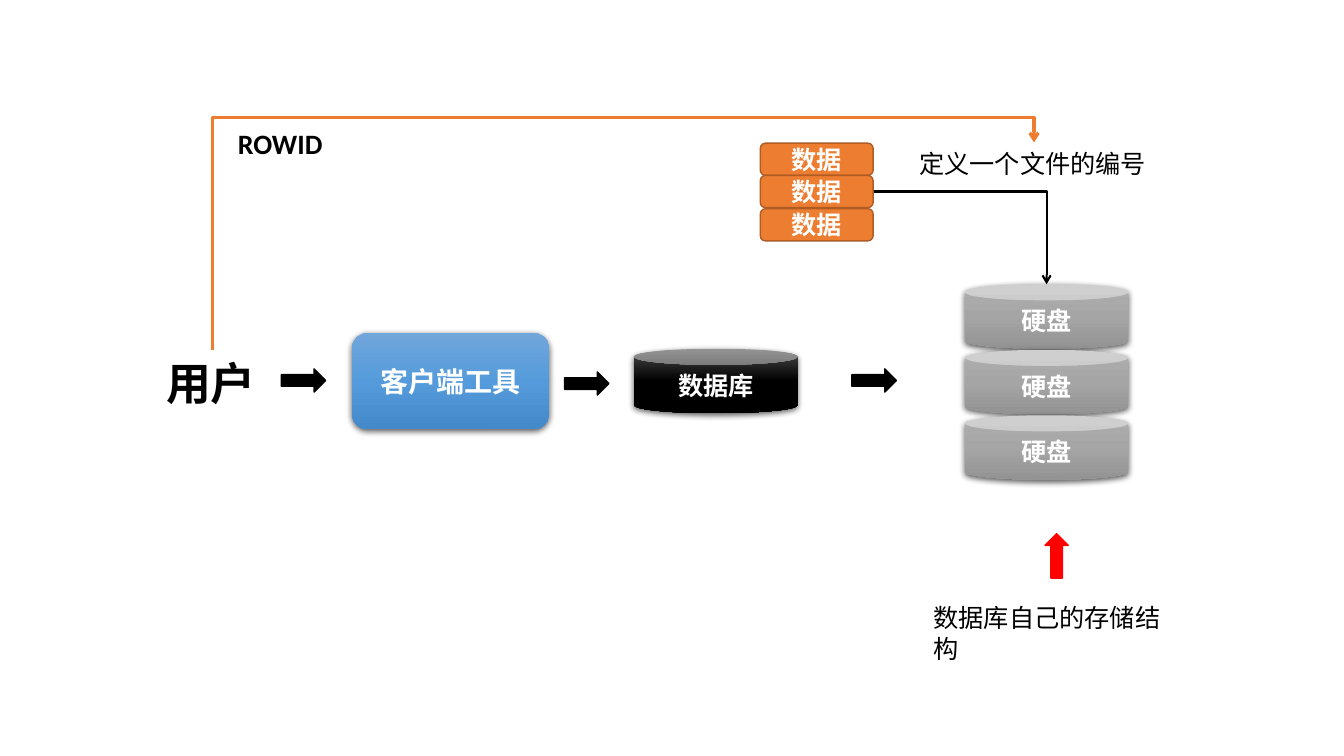
from dataclasses import dataclass
from typing import Optional

from lxml import etree
from pptx import Presentation
from pptx import util as u
from pptx.dml.color import RGBColor
from pptx.enum import shapes, text
from pptx.oxml import ns

PX = 9144


@dataclass(frozen=True)
class Theme:
    font: str = "Calibri"
    black: str = "000000"
    white: str = "FFFFFF"
    red: str = "FF0000"
    orange: str = "ED7D31"
    orange_edge: str = "AF5C24"
    blue_shades: tuple = ("71A6DB", "559BDB", "448ACA")
    black_shades: tuple = ("4B4B4B", "000000", "000000")
    grey_shades: tuple = ("AFAFAF", "A5A5A5", "939393")
    user_size: int = 32
    label_size: int = 20
    body_size: int = 18


THEME = Theme()
KIND = shapes.MSO_SHAPE


@dataclass(frozen=True)
class Box:
    left: int
    top: int
    width: int
    height: int

    def emu(self) -> list:
        return [v * PX for v in (self.left, self.top, self.width, self.height)]


@dataclass(frozen=True)
class Caption:
    words: str
    box: Box
    size: int = THEME.body_size
    bold: bool = False
    wrap: bool = False


@dataclass(frozen=True)
class Node:
    words: str
    kind: int
    box: Box
    shades: tuple
    size: int = THEME.body_size


@dataclass(frozen=True)
class Block:
    kind: int
    box: Box
    fill: str
    edge: str
    words: str = ""
    turn: int = 0


@dataclass(frozen=True)
class Route:
    start: tuple
    end: tuple
    color: str
    weight: float
    preset: str
    turn: int = 0
    bend: Optional[int] = None


def child(parent, tag: str, **attributes):
    return etree.SubElement(parent, ns.qn(tag), {k: str(v) for k, v in attributes.items()})


def write(frame, words: str, size: int, color: str, bold: bool) -> None:
    run = frame.paragraphs[0].add_run()
    run.text = words
    run.font.name = THEME.font
    run.font.size = u.Pt(size)
    run.font.bold = bold
    run.font.color.rgb = RGBColor.from_string(color)


def write_centred(shape, words: str, size: int) -> None:
    frame = shape.text_frame
    frame.vertical_anchor = text.MSO_ANCHOR.MIDDLE
    frame.paragraphs[0].alignment = text.PP_ALIGN.CENTER
    write(frame, words, size, THEME.white, True)


def draw_caption(slide, caption: Caption) -> None:
    frame = slide.shapes.add_textbox(*caption.box.emu()).text_frame
    frame.word_wrap = caption.wrap
    frame.auto_size = text.MSO_AUTO_SIZE.SHAPE_TO_FIT_TEXT
    write(frame, caption.words, caption.size, THEME.black, caption.bold)


def draw_node(slide, node: Node) -> None:
    shape = slide.shapes.add_shape(node.kind, *node.box.emu())
    shape.line.fill.background()
    shape.shadow.inherit = False
    properties = shape.element.spPr
    gradient = etree.Element(ns.qn("a:gradFill"), rotWithShape="1")
    stops = child(gradient, "a:gsLst")
    for position, shade in zip((0, 50000, 100000), node.shades):
        child(child(stops, "a:gs", pos=position), "a:srgbClr", val=shade)
    child(gradient, "a:lin", ang=5400000, scaled=0)
    properties.find(ns.qn("a:prstGeom")).addnext(gradient)
    shadow = child(properties.find(ns.qn("a:effectLst")), "a:outerShdw",
                   blurRad=u.Pt(4.5), dist=u.Pt(1.5), dir=5400000, algn="ctr", rotWithShape=0)
    child(child(shadow, "a:srgbClr", val=THEME.black), "a:alpha", val=63000)
    write_centred(shape, node.words, node.size)


def draw_block(slide, block: Block) -> None:
    shape = slide.shapes.add_shape(block.kind, *block.box.emu())
    shape.shadow.inherit = False
    shape.rotation = block.turn
    shape.fill.solid()
    shape.fill.fore_color.rgb = RGBColor.from_string(block.fill)
    shape.line.color.rgb = RGBColor.from_string(block.edge)
    shape.line.width = u.Pt(1)
    if block.words:
        write_centred(shape, block.words, THEME.body_size)


def draw_route(slide, route: Route) -> None:
    ends = [v * PX for v in route.start + route.end]
    connector = slide.shapes.add_connector(shapes.MSO_CONNECTOR.ELBOW, *ends)
    connector.line.color.rgb = RGBColor.from_string(route.color)
    connector.line.width = u.Pt(route.weight)
    properties = connector._element.spPr
    if route.turn:
        properties.find(ns.qn("a:xfrm")).set("rot", str(route.turn * 60000))
    geometry = properties.find(ns.qn("a:prstGeom"))
    geometry.set("prst", route.preset)
    if route.bend is not None:
        child(geometry.find(ns.qn("a:avLst")), "a:gd", name="adj1", fmla=f"val {route.bend}")
    child(properties.find(ns.qn("a:ln")), "a:tailEnd", type="arrow")
    child(properties, "a:effectLst")


CAPTIONS = [
    Caption("用户", Box(155, 348, 110, 64), THEME.user_size, bold=True),
    Caption("数据库自己的存储结构", Box(916, 593, 263, 40), wrap=True),
    Caption("定义一个文件的编号", Box(902, 142, 247, 40)),
    Caption("ROWID", Box(226, 121, 105, 44), THEME.label_size, bold=True),
]
NODES = [
    Node("客户端工具", KIND.ROUNDED_RECTANGLE, Box(349, 330, 196, 96),
         THEME.blue_shades, THEME.label_size),
    Node("数据库", KIND.CAN, Box(629, 346, 162, 64), THEME.black_shades),
] + [
    Node("硬盘", KIND.CAN, Box(957, 282 + 65 * row, 162, 64), THEME.grey_shades)
    for row in range(3)
]
BLOCKS = [
    Block(KIND.RIGHT_ARROW, Box(left, top, 44, 23), THEME.black, THEME.black)
    for left, top in ((279, 366), (560, 369), (845, 366))
] + [
    Block(KIND.ROUNDED_RECTANGLE, Box(754, round(142 + 32.5 * row), 112, 32),
          THEME.orange, THEME.orange_edge, "数据")
    for row in range(3)
] + [
    Block(KIND.RIGHT_ARROW, Box(1026, 540, 44, 23), THEME.red, THEME.red, turn=270),
]
ROUTES = [
    Route((867, 190), (1038, 282), THEME.black, 1.5, "bentConnector2"),
    Route((721, 652), (515, -163), THEME.orange, 2.25, "bentConnector3", 90, 112100),
]


def main() -> None:
    deck = Presentation()
    deck.slide_width, deck.slide_height = 1333 * PX, 750 * PX
    slide = deck.slides.add_slide(deck.slide_layouts[6])
    for node in NODES:
        draw_node(slide, node)
    for block in BLOCKS:
        draw_block(slide, block)
    for route in ROUTES:
        draw_route(slide, route)
    for caption in CAPTIONS:
        draw_caption(slide, caption)
    deck.save("out.pptx")


if __name__ == "__main__":
    main()
